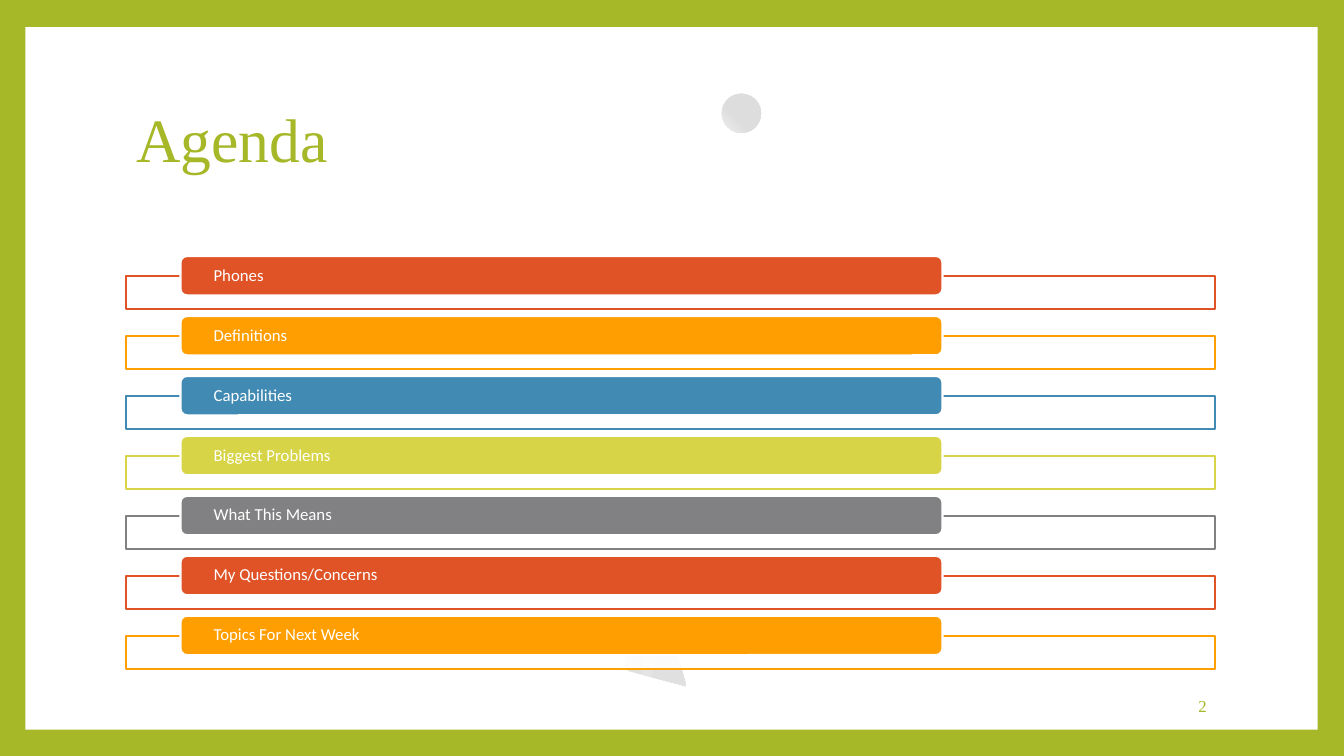
from lxml.etree import SubElement
from pptx import Presentation
from pptx.dml.color import RGBColor
from pptx.enum.shapes import MSO_SHAPE
from pptx.enum.text import MSO_ANCHOR, PP_ALIGN
from pptx.oxml import parse_xml
from pptx.oxml.ns import nsdecls, qn
from pptx.util import Inches, Pt

prs = Presentation()
prs.slide_width, prs.slide_height = Inches(13.33), Inches(7.5)
W, H = prs.slide_width / 100, prs.slide_height / 100
s = prs.slides.add_slide(prs.slide_layouts[5])

GREEN, WHITE = "A6B727", "FFFFFF"
ORANGE, AMBER = "DF5327", "FE9E00"
LEFT, WIDTH = 9.38, 81
BAR_TOP, PILL_TOP, PITCH = 36.53, 33.87, 7.93


def paint(sp, fill, line=None, alpha=None):
    sp.shadow.inherit = False
    sp.fill.solid()
    sp.fill.fore_color.rgb = RGBColor.from_string(fill)
    if alpha:
        color = sp.fill._xPr.find(".//" + qn("a:srgbClr"))
        SubElement(color, qn("a:alpha")).set("val", str(alpha * 1000))
    if line:
        sp.line.color.rgb = RGBColor.from_string(line)
        sp.line.width = Pt(1.5)
    else:
        sp.line.fill.background()


def shape(kind, x, y, w, h):
    return s.shapes.add_shape(kind, int(x * W), int(y * H), int(w * W), int(h * H))


s.background.fill.solid()
s.background.fill.fore_color.rgb = RGBColor.from_string(GREEN)
paint(shape(MSO_SHAPE.RECTANGLE, 1.88, 3.6, 96.15, 92.93), WHITE)

ball = shape(MSO_SHAPE.OVAL, 53.7, 12.4, 2.93, 5.2)
builder = s.shapes.build_freeform(5108, 9080, scale=(W / 100, H / 100))
builder.add_line_segments([
    (4680, 8880), (4658, 8853), (4650, 8730), (4740, 8427),
    (4875, 8280), (4973, 8293), (4988, 8333),
])
cone = builder.convert_to_shape()
glow = shape(MSO_SHAPE.OVAL, 47.03, 81.73, 2.25, 7.87)
glow.rotation = 225

radial = '<a:path path="circle"><a:fillToRect l="100000" b="100000"/></a:path>'
linear = '<a:lin ang="{}" scaled="0"/>'
gradients = [
    (ball, [(60, "DDDDDD", 100), (100, "EEEEEE", 100)], radial),
    (cone, [(30, "E0E0E0", 100), (40, "E4E4E4", 100), (60, "E0E0E0", 100),
            (100, "DDDDDD", 100)], linear.format(600000)),
    (glow, [(0, "E6E6E6", 33), (100, "D3E171", 0)], linear.format(5400000)),
]
for sp, stops, direction in gradients:
    paint(sp, stops[0][1])
    marks = "".join(
        f'<a:gs pos="{pos * 1000}"><a:srgbClr val="{color}">'
        f'<a:alpha val="{alpha * 1000}"/></a:srgbClr></a:gs>'
        for pos, color, alpha in stops)
    solid = sp._element.spPr.find(qn("a:solidFill"))
    solid.getparent().replace(solid, parse_xml(
        f'<a:gradFill {nsdecls("a")} rotWithShape="1">'
        f'<a:gsLst>{marks}</a:gsLst>{direction}</a:gradFill>'))

title = s.shapes.title
title.left, title.top = int(LEFT * W), int(8.93 * H)
title.width, title.height = int(WIDTH * W), int(19.73 * H)
s.shapes._spTree.append(title._element)
number = s.shapes.add_textbox(int(76.5 * W), int(90.8 * H), int(14.03 * W), int(5.33 * H))

serif = {"name": "Times New Roman", "size": Pt(44)}
small = {"name": "Times New Roman", "size": Pt(12)}
label = {"name": "Calibri", "size": Pt(12)}
texts = [
    (title, "Agenda", serif, GREEN, PP_ALIGN.LEFT, 0.1),
    (number, "2", small, GREEN, PP_ALIGN.RIGHT, 0.1),
]

topics = [
    ("Phones", ORANGE),
    ("Definitions", AMBER),
    ("Capabilities", "418AB3"),
    ("Biggest Problems", "D7D447"),
    ("What This Means", "818183"),
    ("My Questions/Concerns", ORANGE),
    ("Topics For Next Week", AMBER),
]
for row, (topic, color) in enumerate(topics):
    bar = shape(MSO_SHAPE.RECTANGLE, LEFT, BAR_TOP + row * PITCH, WIDTH, 4.4)
    paint(bar, WHITE, color, 90)
    pill = shape(MSO_SHAPE.ROUNDED_RECTANGLE, 13.43, PILL_TOP + row * PITCH, 56.7, 5.2)
    paint(pill, color, WHITE)
    texts.append((pill, topic, label, WHITE, PP_ALIGN.LEFT, 0.31))

for sp, text, font, color, align, inset in texts:
    tf = sp.text_frame
    frame = {"word_wrap": True, "vertical_anchor": MSO_ANCHOR.MIDDLE,
             "margin_left": Inches(inset), "margin_right": Inches(inset),
             "margin_top": 0, "margin_bottom": 0}
    for key, value in frame.items():
        setattr(tf, key, value)
    p = tf.paragraphs[0]
    p.alignment, p.line_spacing = align, 0.9
    r = p.add_run()
    r.text = text
    for key, value in font.items():
        setattr(r.font, key, value)
    r.font.color.rgb = RGBColor.from_string(color)

prs.save("out.pptx")
